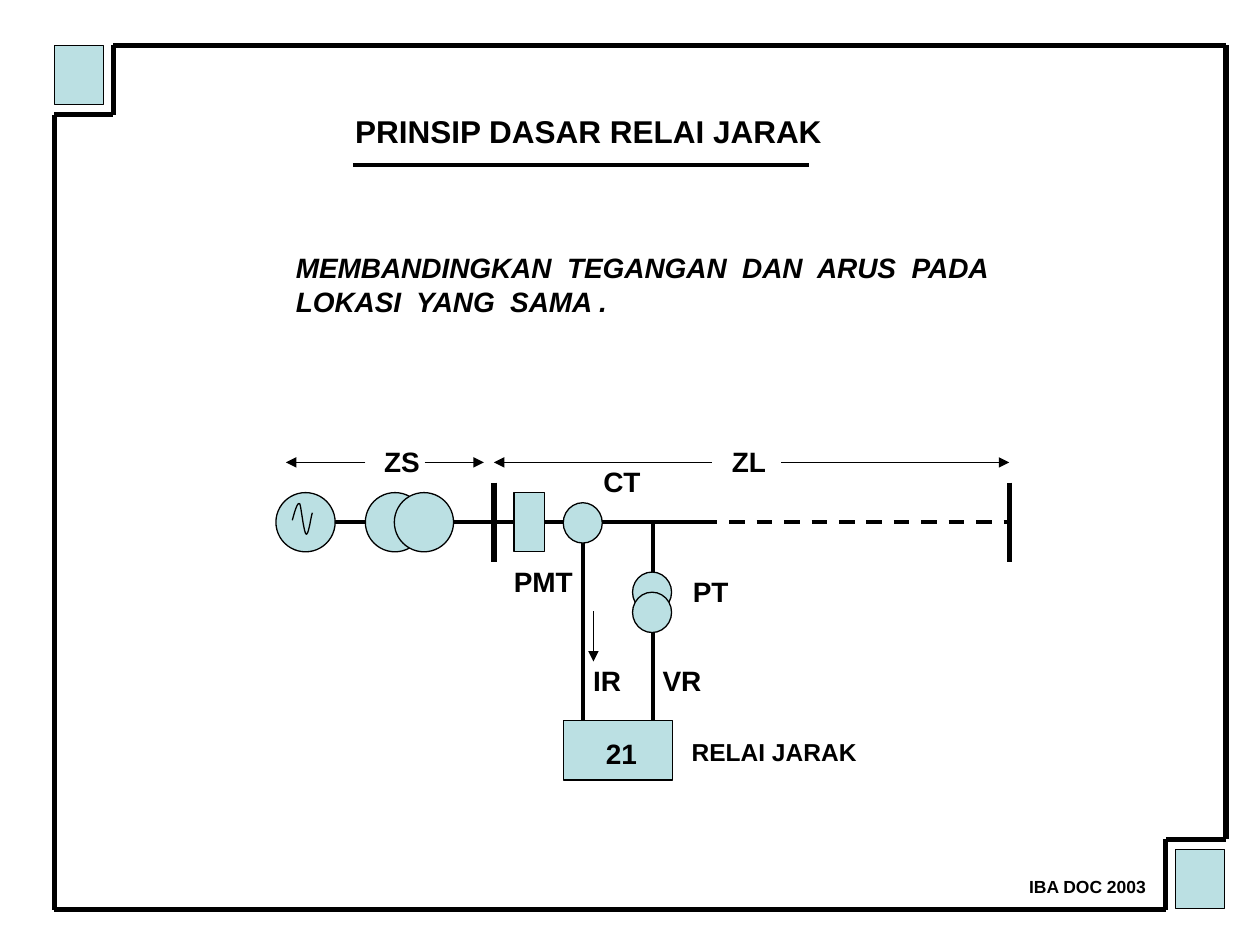
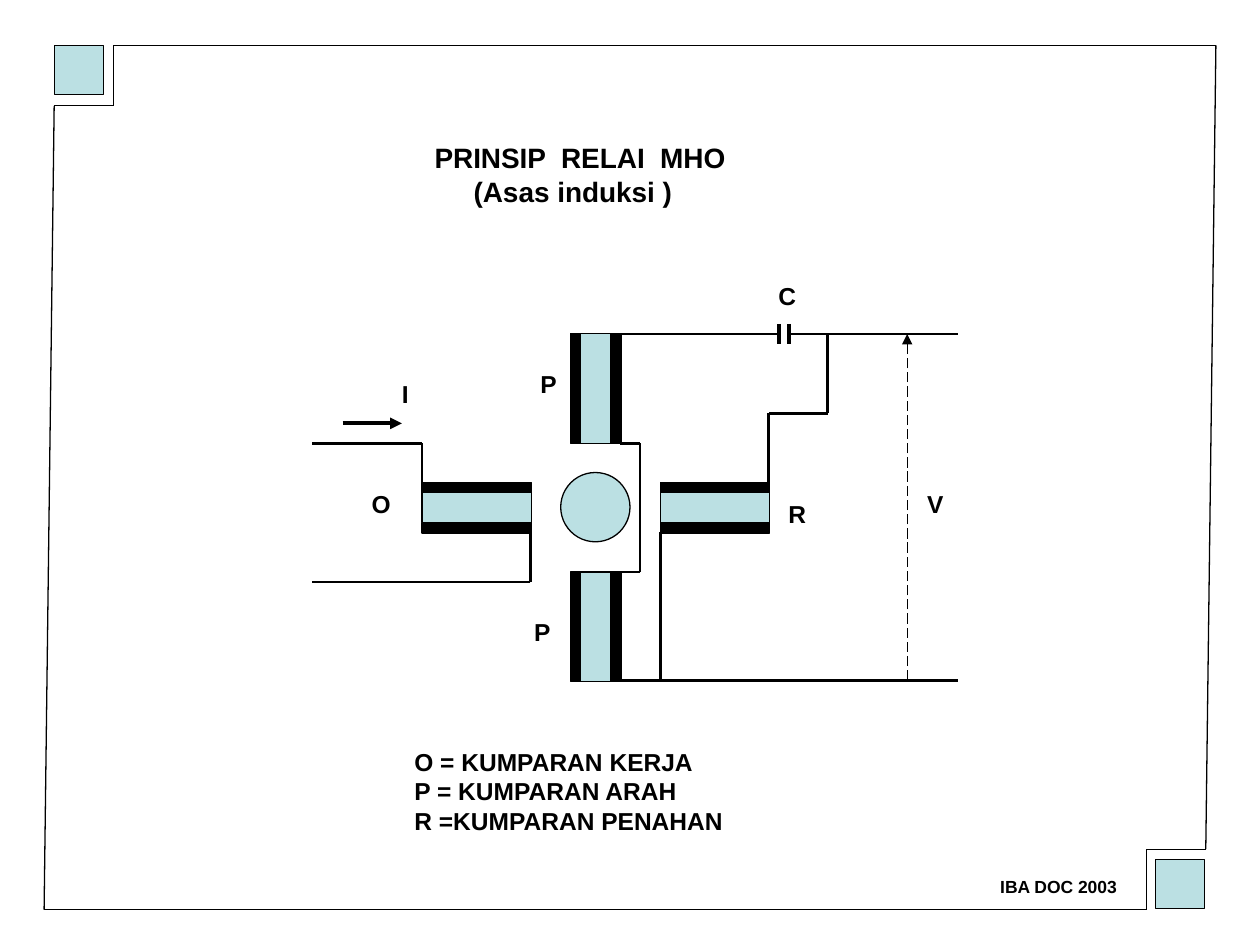
from dataclasses import dataclass

from lxml import etree
from pptx import Presentation
from pptx.dml.color import RGBColor
from pptx.enum.dml import MSO_LINE
from pptx.enum.shapes import MSO_CONNECTOR, MSO_SHAPE
from pptx.enum.text import MSO_AUTO_SIZE
from pptx.oxml.ns import qn
from pptx.util import Inches, Pt

RECT, OVAL = MSO_SHAPE.RECTANGLE, MSO_SHAPE.OVAL
STRAIGHT = MSO_CONNECTOR.STRAIGHT
DASH, LONG_DASH = MSO_LINE.DASH, MSO_LINE.LONG_DASH
FIT_SHAPE = MSO_AUTO_SIZE.SHAPE_TO_FIT_TEXT


@dataclass(frozen=True)
class Theme:
    font: str = "Arial"
    ink: RGBColor = RGBColor(0x00, 0x00, 0x00)
    tint: RGBColor = RGBColor(0xBB, 0xE0, 0xE3)
    title: int = 18
    body: int = 16
    label: int = 14
    footer: int = 10
    thin: float = 0.75
    wire: float = 1.5
    bold: float = 2.25
    heavy: float = 3


T = Theme()
FOOTER = "IBA DOC 2003"

DISTANCE = {
    "frame": [(0.9, 0.36), (9.73, 0.36), (9.73, 6.66), (9.25, 6.66),
              (9.25, 7.22), (0.43, 7.22), (0.43, 0.91), (0.9, 0.91), (0.9, 0.36)],
    "weight": T.heavy,
    "corners": [(0.43, 0.36, 0.39, 0.47), (9.33, 6.74, 0.39, 0.47)],
    "footer": (8.07, 6.9, 1.13, 0.27),
    "texts": [
        (["PRINSIP DASAR RELAI JARAK"], (2.72, 0.84, 3.91, 0.4), {"size": T.title}),
        (["MEMBANDINGKAN  TEGANGAN  DAN  ARUS  PADA", "LOKASI  YANG  SAMA ."],
         (2.25, 1.94, 5.73, 0.64), {"italic": True}),
        (["21"], (4.71, 5.8, 0.46, 0.37), {}),
        (["ZL"], (5.71, 3.48, 0.49, 0.37), {}),
        (["ZS"], (2.95, 3.48, 0.5, 0.37), {}),
        (["PMT"], (3.98, 4.43, 0.68, 0.37), {}),
        (["CT"], (4.69, 3.64, 0.51, 0.37), {}),
        (["PT"], (5.4, 4.51, 0.5, 0.37), {}),
        (["IR"], (4.61, 5.22, 0.44, 0.37), {}),
        (["VR"], (5.16, 5.22, 0.52, 0.37), {}),
        (["RELAI JARAK"], (5.39, 5.8, 1.51, 0.34), {"size": T.label}),
    ],
    "wires": [
        ([(2.8, 1.31), (6.42, 1.31)], T.bold, {}),
        ([(2.66, 4.14), (5.57, 4.14)], T.bold, {}),
        ([(5.57, 4.14), (8.01, 4.14)], T.bold, {"dash": DASH}),
        ([(3.92, 3.83), (3.92, 4.46)], T.heavy, {}),
        ([(8.01, 3.83), (8.01, 4.46)], T.heavy, {}),
        ([(4.63, 4.3), (4.63, 5.72)], T.bold, {}),
        ([(5.18, 4.14), (5.18, 4.54)], T.bold, {}),
        ([(5.18, 5.01), (5.18, 5.72)], T.bold, {}),
        ([(6.2, 3.67), (8.01, 3.67)], T.thin, {"arrow": True}),
        ([(5.65, 3.67), (3.92, 3.67)], T.thin, {"arrow": True}),
        ([(3.37, 3.67), (3.84, 3.67)], T.thin, {"arrow": True}),
        ([(2.9, 3.67), (2.27, 3.67)], T.thin, {"arrow": True}),
        ([(4.71, 4.85), (4.71, 5.25)], T.thin, {"arrow": True}),
    ],
}
SYMBOLS = [
    (OVAL, (2.19, 3.91, 0.47, 0.47)),
    (OVAL, (2.9, 3.91, 0.47, 0.47)),
    (OVAL, (3.13, 3.91, 0.47, 0.47)),
    (RECT, (4.08, 3.91, 0.24, 0.47)),
    (OVAL, (4.47, 3.99, 0.31, 0.32)),
    (OVAL, (5.02, 4.54, 0.31, 0.32)),
    (OVAL, (5.02, 4.7, 0.31, 0.32)),
    (RECT, (4.47, 5.72, 0.87, 0.47)),
]
SINE = [
    [(2.32, 4.13), (2.34, 4.06), (2.36, 3.98), (2.38, 4)],
    [(2.38, 4), (2.39, 4.02), (2.41, 4.22), (2.43, 4.24)],
    [(2.43, 4.24), (2.45, 4.25), (2.47, 4.09), (2.48, 4.07)],
]

MHO = {
    "frame": [(0.9, 0.36), (9.65, 0.36), (9.57, 6.74), (9.1, 6.74),
              (9.1, 7.22), (0.35, 7.22), (0.43, 0.84), (0.9, 0.84), (0.9, 0.36)],
    "weight": T.thin,
    "corners": [(0.43, 0.36, 0.39, 0.39), (9.17, 6.82, 0.39, 0.39)],
    "footer": (7.84, 6.9, 1.13, 0.27),
    "texts": [
        (["PRINSIP  RELAI  MHO"], (3.35, 1.07, 2.51, 0.37), {}),
        (["(Asas induksi )"], (3.66, 1.34, 1.78, 0.37), {}),
        (["I"], (3.09, 2.96, 0.25, 0.34), {"size": T.label}),
        (["O"], (2.85, 3.83, 0.35, 0.34), {"size": T.label}),
        (["P"], (4.19, 2.88, 0.33, 0.34), {"size": T.label}),
        (["P"], (4.14, 4.85, 0.33, 0.34), {"size": T.label}),
        (["R"], (6.16, 3.91, 0.34, 0.34), {"size": T.label}),
        (["C"], (6.08, 2.18, 0.34, 0.34), {"size": T.label}),
        (["V"], (7.26, 3.83, 0.33, 0.34), {"size": T.label}),
        (["O = KUMPARAN KERJA", "P = KUMPARAN ARAH", "R =KUMPARAN PENAHAN"],
         (3.19, 5.88, 2.66, 0.8), {"size": T.label}),
    ],
    "wires": [
        ([(4.84, 2.65), (6.18, 2.65)], T.wire, {}),
        ([(6.18, 2.57), (6.18, 2.73)], T.bold, {}),
        ([(6.26, 2.57), (6.26, 2.73)], T.bold, {}),
        ([(6.26, 2.65), (7.6, 2.65)], T.wire, {}),
        ([(4.92, 3.52), (5.08, 3.52), (5.08, 4.54), (4.84, 4.54)], T.wire, {}),
        ([(4.92, 5.4), (7.6, 5.4)], T.wire, {}),
        ([(5.24, 4.22), (5.24, 5.4)], T.wire, {}),
        ([(6.57, 2.65), (6.57, 3.28), (6.1, 3.28), (6.1, 3.91)], T.wire, {}),
        ([(4.21, 4.15), (4.21, 4.62), (2.48, 4.62)], T.wire, {}),
        ([(2.48, 3.52), (3.35, 3.52), (3.35, 3.99)], T.wire, {}),
        ([(7.2, 5.4), (7.2, 2.65)], T.thin, {"dash": LONG_DASH, "arrow": True}),
        ([(2.72, 3.36), (3.19, 3.36)], T.bold, {"arrow": True}),
    ],
}
COILS = [(3.35, 3.83, False), (5.24, 3.83, False), (4.53, 2.65, True), (4.53, 4.54, True)]
COIL_LENGTH = 0.87
COIL_LAYERS = [(0.08, 0.24, T.tint), (0, 0.08, T.ink), (0.32, 0.08, T.ink)]
ROTOR = (4.45, 3.75, 0.55, 0.55)


def add_text(slide, lines, box, size=T.body, italic=False):
    tf = slide.shapes.add_textbox(*map(Inches, box)).text_frame
    tf.word_wrap = False
    tf.auto_size = FIT_SHAPE
    for i, line in enumerate(lines):
        p = tf.add_paragraph() if i else tf.paragraphs[0]
        r = p.add_run()
        r.text = line
        r.font.name = T.font
        r.font.size = Pt(size)
        r.font.bold = True
        r.font.italic = italic
        r.font.color.rgb = T.ink


def add_solid(slide, kind, box, fill=T.tint):
    sp = slide.shapes.add_shape(kind, *map(Inches, box))
    sp.shadow.inherit = False
    sp.fill.solid()
    sp.fill.fore_color.rgb = fill
    sp.line.color.rgb = T.ink
    sp.line.width = Pt(T.thin)


def add_wire(slide, points, weight, dash=None, arrow=False):
    for start, end in zip(points, points[1:]):
        cn = slide.shapes.add_connector(STRAIGHT, *map(Inches, start + end))
        cn.line.color.rgb = T.ink
        cn.line.width = Pt(weight)
        if dash:
            cn.line.dash_style = dash
        sppr = cn._element.spPr
        if arrow:
            etree.SubElement(sppr.find(qn("a:ln")), qn("a:tailEnd"), type="triangle")
        etree.SubElement(sppr, qn("a:effectLst"))


def bezier(curve, t):
    weights = ((1 - t) ** 3, 3 * t * (1 - t) ** 2, 3 * t * t * (1 - t), t ** 3)
    return tuple(Inches(sum(w * c for w, c in zip(weights, axis))) for axis in zip(*curve))


def add_sine(slide, steps=10):
    points = [bezier(curve, i / steps) for curve in SINE for i in range(1, steps + 1)]
    fb = slide.shapes.build_freeform(*bezier(SINE[0], 0))
    fb.add_line_segments(points, close=False)
    sp = fb.convert_to_shape()
    sp.shadow.inherit = False
    sp.fill.background()
    sp.line.color.rgb = T.ink
    sp.line.width = Pt(T.thin)


def add_coil(slide, x, y, vertical):
    for offset, depth, fill in COIL_LAYERS:
        if vertical:
            box = (x + offset, y, depth, COIL_LENGTH)
        else:
            box = (x, y + offset, COIL_LENGTH, depth)
        add_solid(slide, RECT, box, fill)


def add_framed_slide(prs, content):
    slide = prs.slides.add_slide(prs.slide_layouts[6])
    add_wire(slide, content["frame"], content["weight"])
    for box in content["corners"]:
        add_solid(slide, RECT, box)
    add_text(slide, [FOOTER], content["footer"], size=T.footer)
    return slide


def add_wires(slide, content):
    for points, weight, style in content["wires"]:
        add_wire(slide, points, weight, **style)


def add_texts(slide, content):
    for lines, box, style in content["texts"]:
        add_text(slide, lines, box, **style)


def build_distance(prs):
    slide = add_framed_slide(prs, DISTANCE)
    add_wires(slide, DISTANCE)
    for kind, box in SYMBOLS:
        add_solid(slide, kind, box)
    add_sine(slide)
    add_texts(slide, DISTANCE)


def build_mho(prs):
    slide = add_framed_slide(prs, MHO)
    for coil in COILS:
        add_coil(slide, *coil)
    add_solid(slide, OVAL, ROTOR)
    add_wires(slide, MHO)
    add_texts(slide, MHO)


def main():
    prs = Presentation()
    prs.slide_width, prs.slide_height = Inches(10), Inches(7.5)
    build_distance(prs)
    build_mho(prs)
    prs.save("out.pptx")


if __name__ == "__main__":
    main()
